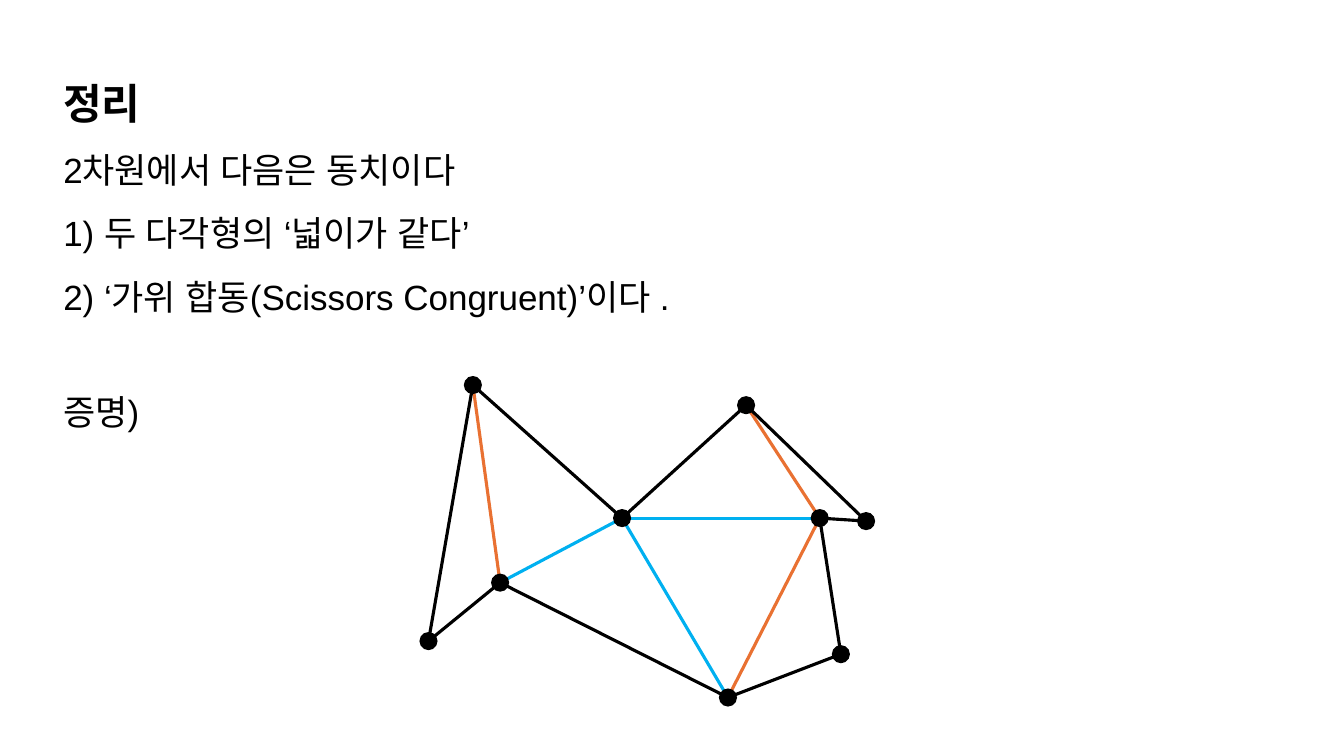
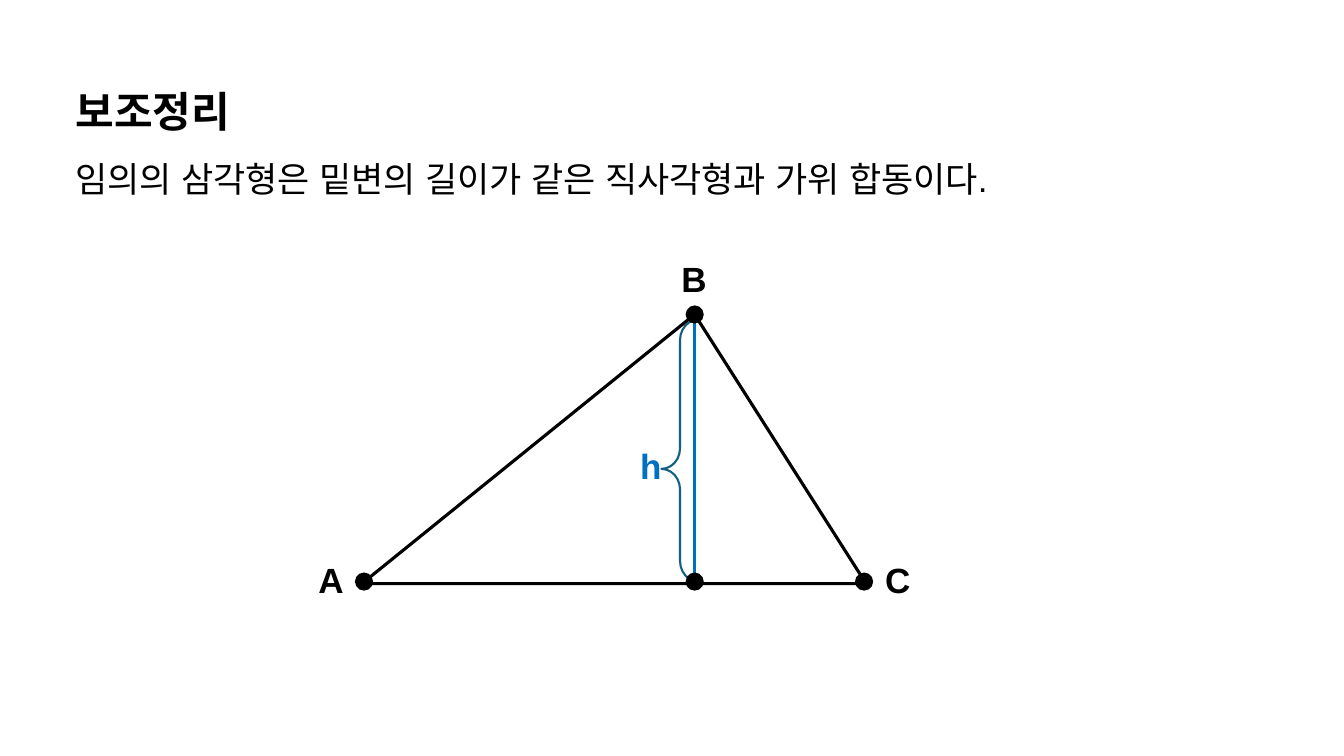
import pptx
import pptx.util
import pptx.dml.color
import pptx.enum.shapes
import pptx.oxml.ns
import lxml.etree

PX = 9144
INK = {
    "black": "000000",
    "orange": "E97132",
    "sky": "00B0F0",
    "blue": "0070C0",
    "teal": "156082",
}
SANS = "Arial"
HAN = "Noto Sans CJK KR"
HEAD = 30
BODY = 25
LEAD = 1.8
DOT = 18
KIND = pptx.enum.shapes.MSO_SHAPE


def px(*nums):
    return [pptx.util.Emu(n * PX) for n in nums]


def rgb(name):
    return pptx.dml.color.RGBColor.from_string(INK[name])


def add_run(para, text, size=BODY, bold=False, face=SANS, ink="black"):
    run = para.add_run()
    run.text = text
    font = run.font
    font.size = pptx.util.Pt(size)
    font.bold = bold
    font.name = face
    font.color.rgb = rgb(ink)
    east = lxml.etree.SubElement(run.font._element, pptx.oxml.ns.qn("a:ea"))
    east.set("typeface", face)


def add_box(slide, x, y, w, h):
    frame = slide.shapes.add_textbox(*px(x, y, w, h)).text_frame
    frame.word_wrap = True
    return frame


def add_text(slide, x, y, w, h, lines, title=None, face=SANS):
    frame = add_box(slide, x, y, w, h)
    rows = [(text, BODY, False, SANS) for text in lines]
    if title:
        rows.insert(0, (title, HEAD, True, face))
    for i, (text, size, bold, name) in enumerate(rows):
        para = frame.add_paragraph() if i else frame.paragraphs[0]
        para.line_spacing = pptx.util.Pt(size * LEAD)
        add_run(para, text, size, bold, name)


def add_tag(slide, x, y, text, ink="black"):
    frame = add_box(slide, x, y, 49, 52)
    add_run(frame.paragraphs[0], text, bold=True, ink=ink)


def add_line(slide, start, end, ink):
    line = slide.shapes.add_connector(
        pptx.enum.shapes.MSO_CONNECTOR.STRAIGHT, *px(*start, *end))
    line.line.color.rgb = rgb(ink)
    line.line.width = pptx.util.Pt(2.25)
    lxml.etree.SubElement(line._element.spPr, pptx.oxml.ns.qn("a:effectLst"))


def add_form(slide, kind, x, y, w, h, ink, width, bends):
    form = slide.shapes.add_shape(kind, *px(x, y, w, h))
    form.shadow.inherit = False
    form.fill.background()
    form.line.color.rgb = rgb(ink)
    form.line.width = pptx.util.Pt(width)
    for i, bend in enumerate(bends):
        form.adjustments[i] = bend


def add_dot(slide, x, y):
    dot = slide.shapes.add_shape(
        KIND.OVAL, *px(x - DOT // 2, y - DOT // 2, DOT, DOT))
    dot.shadow.inherit = False
    dot.fill.solid()
    dot.fill.fore_color.rgb = rgb("black")
    dot.line.fill.background()


def draw_mesh(slide, x, y):
    spots = {
        "a": (44, 0), "b": (192, 132), "c": (315, 20),
        "d": (434, 135), "e": (388, 132), "f": (409, 267),
        "g": (297, 310), "h": (71, 196), "i": (0, 254),
    }
    spots = {key: (x + dx, y + dy) for key, (dx, dy) in spots.items()}
    edges = {
        "orange": ["eg", "ce", "ah"],
        "sky": ["bh", "bg", "be"],
        "black": ["ab", "bc", "cd", "de", "ef", "fg", "gh", "hi", "ia"],
    }
    for ink, pairs in edges.items():
        for start, end in pairs:
            add_line(slide, spots[start], spots[end], ink)
    for spot in spots.values():
        add_dot(slide, *spot)


def draw_cut(slide, x, y, w, h):
    foot = x + w * 66 // 100
    base = y + h
    add_form(slide, KIND.LEFT_BRACE, foot - 33, y + 5, 37, h - 7,
             "teal", 1.5, [0.55, 0.57])
    add_form(slide, KIND.ISOSCELES_TRIANGLE, x, y, w, h,
             "black", 2.25, [0.66])
    add_line(slide, (foot, y), (foot, base), "blue")
    for spot in [(foot, y), (x + 2, base - 2),
                 (x + w - 2, base - 2), (foot, base - 2)]:
        add_dot(slide, *spot)
    add_tag(slide, foot - 64, y + 124, "h", "blue")
    add_tag(slide, x - 53, base - 30, "A")
    add_tag(slide, x + w + 9, base - 30, "C")
    add_tag(slide, foot - 23, y - 61, "B")


def main():
    deck = pptx.Presentation()
    deck.slide_width, deck.slide_height = px(1333, 750)
    blank = deck.slide_layouts[6]

    claim = deck.slides.add_slide(blank)
    draw_mesh(claim, 425, 382)
    add_text(claim, 53, 47, 1164, 268, [
        "2차원에서 다음은 동치이다",
        "1) 두 다각형의 ‘넓이가 같다’",
        "2) ‘가위 합동(Scissors Congruent)’이다 .",
    ], "정리")
    add_text(claim, 53, 362, 1164, 66, ["증명)"])

    lemma = deck.slides.add_slide(blank)
    add_text(lemma, 65, 55, 1164, 142, [
        "임의의 삼각형은 밑변의 길이가 같은 직사각형과 가위 합동이다.",
    ], "보조정리", HAN)
    draw_cut(lemma, 359, 312, 500, 267)

    deck.save("out.pptx")


if __name__ == "__main__":
    main()
